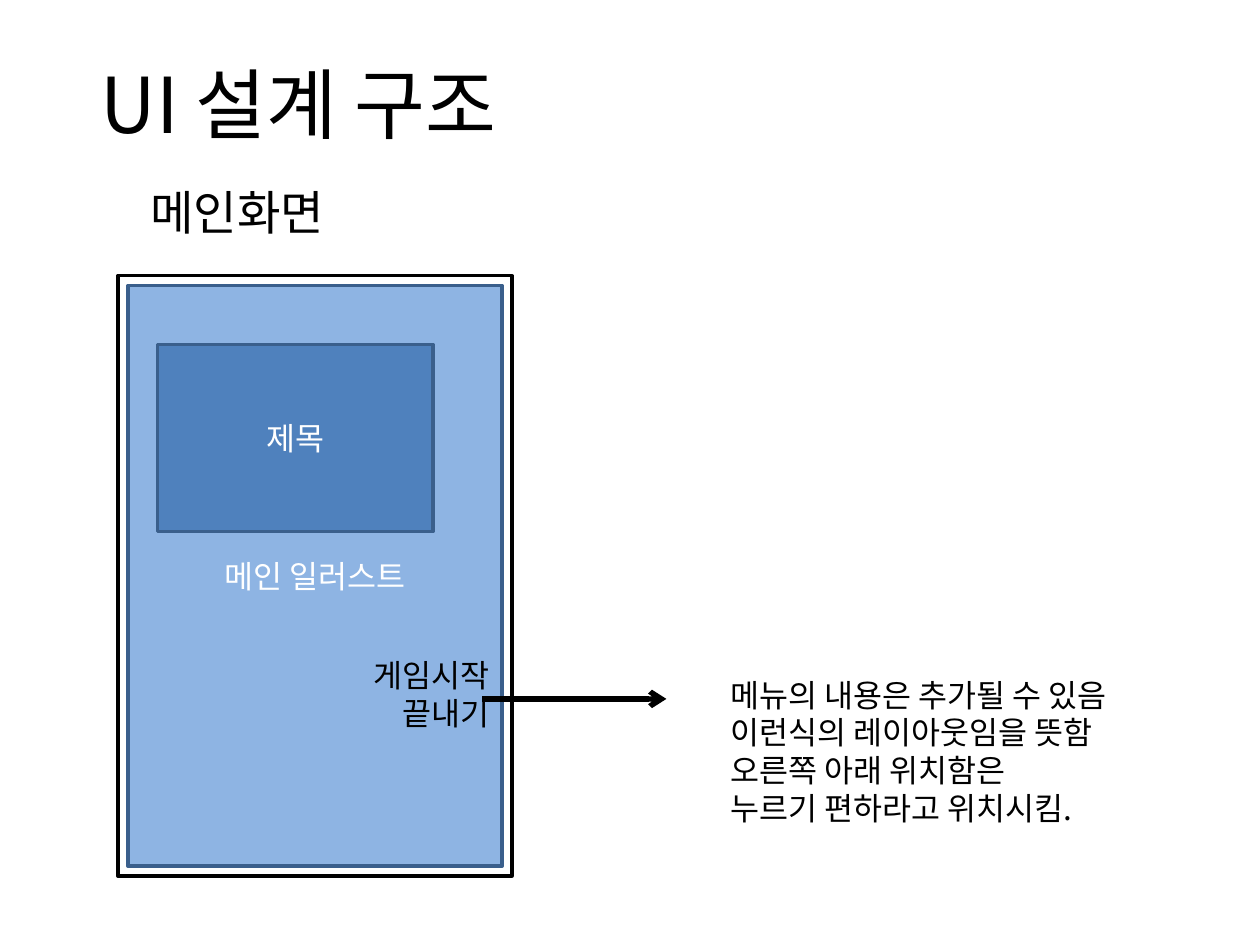
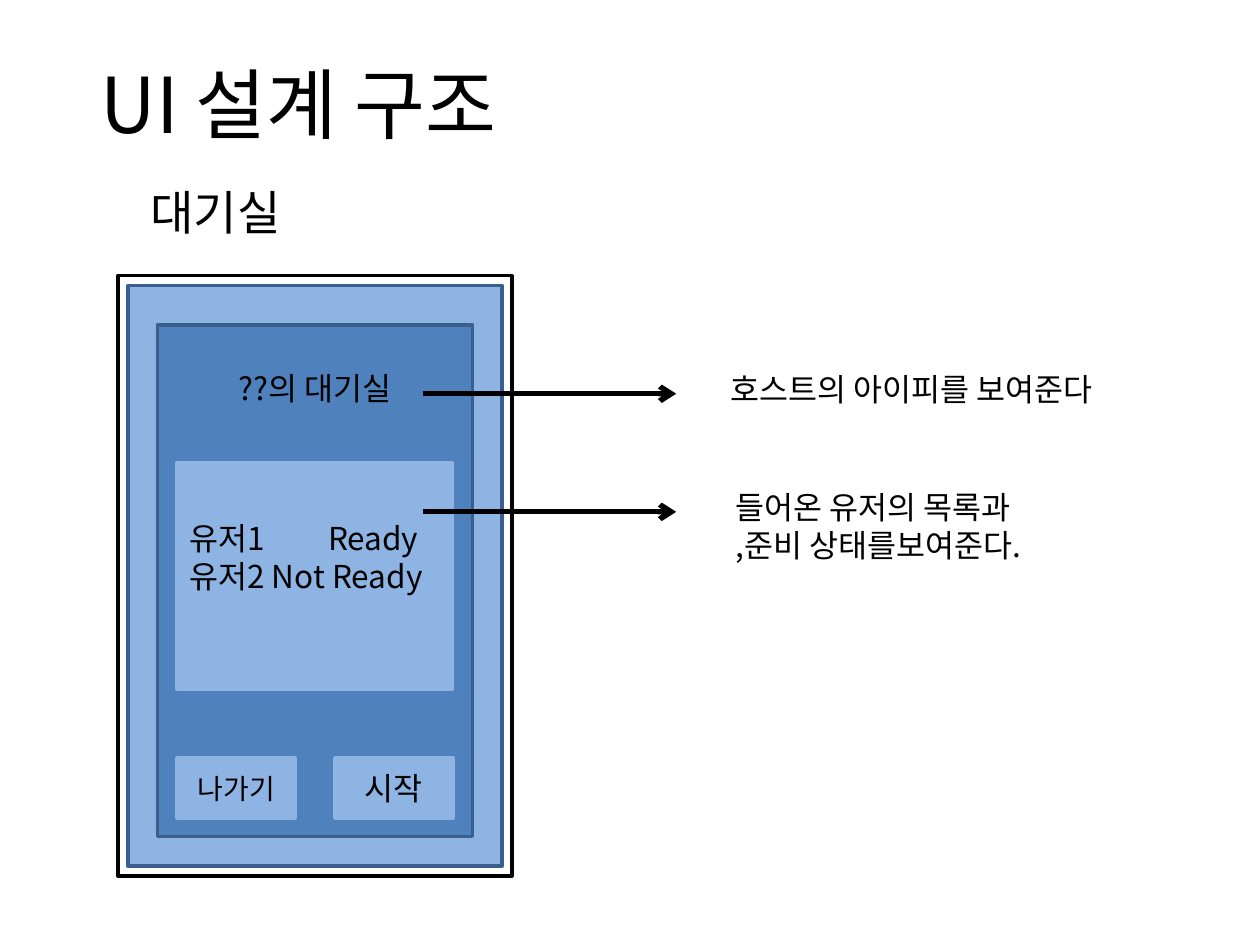
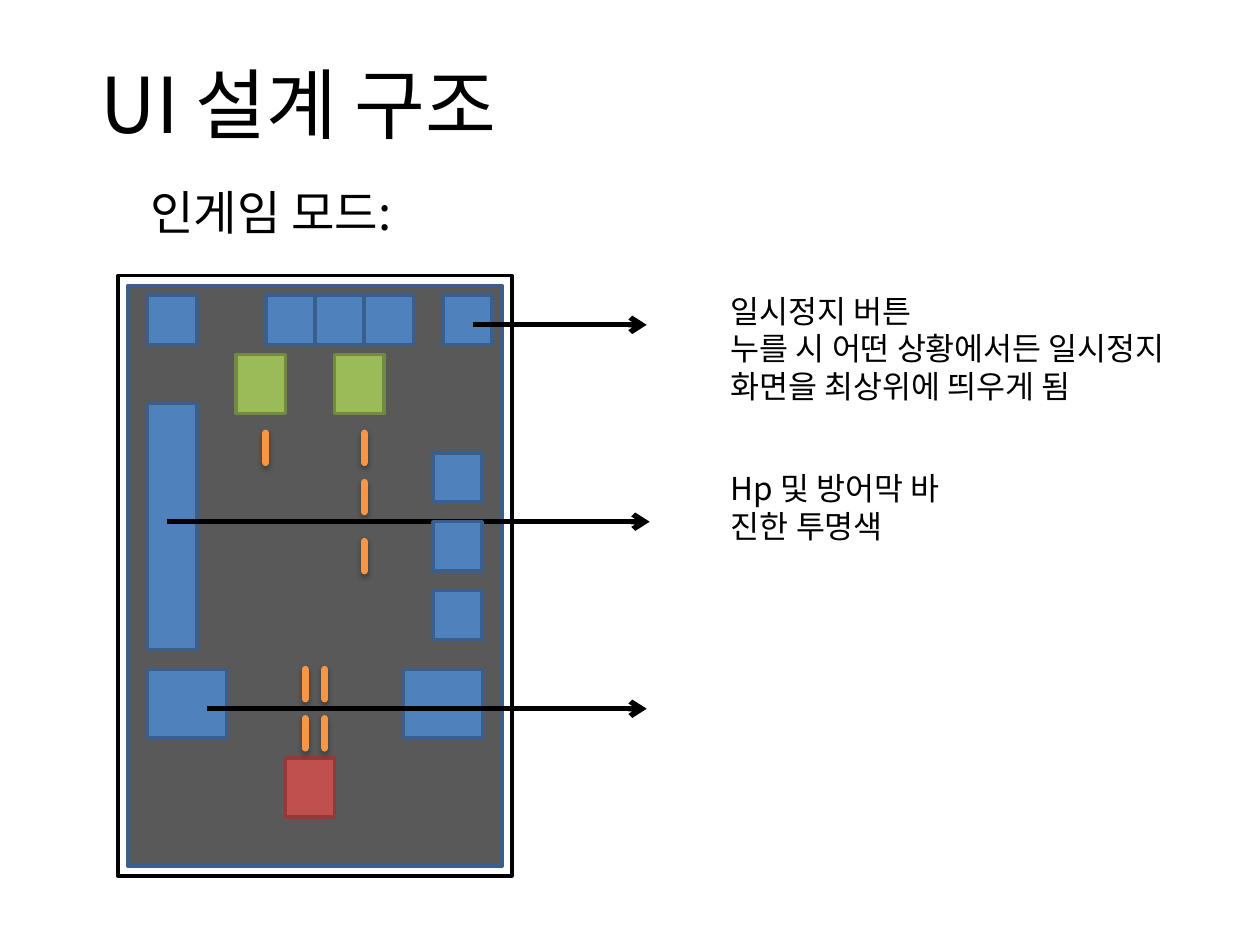
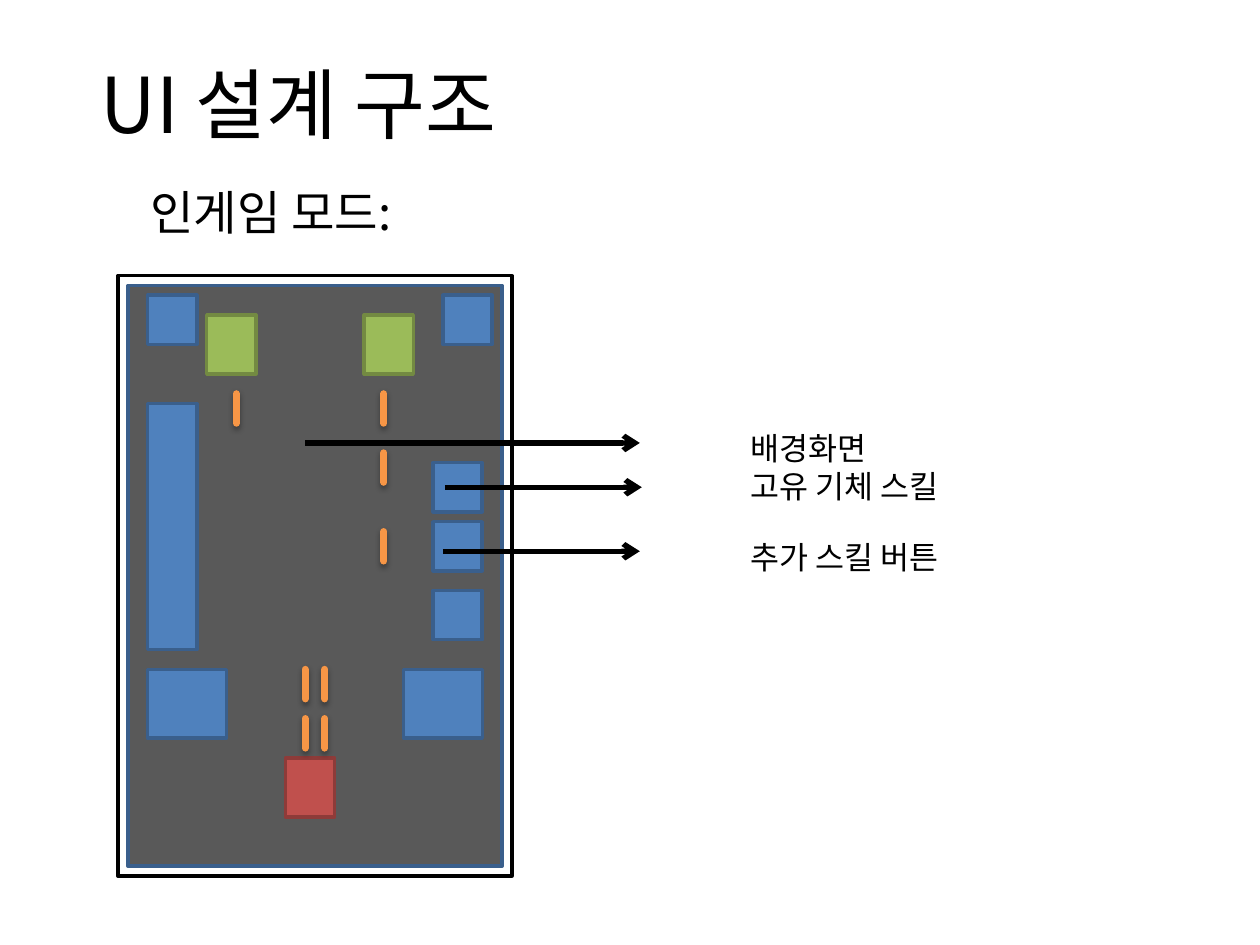
from lxml.etree import SubElement
from pptx import Presentation
from pptx.dml.color import RGBColor
from pptx.enum.shapes import MSO_CONNECTOR, MSO_SHAPE
from pptx.enum.text import MSO_ANCHOR, MSO_AUTO_SIZE, PP_ALIGN
from pptx.oxml.ns import qn
from pptx.util import Inches, Pt

SLIDE_WIDTH, SLIDE_HEIGHT = 10, 7.5
COLUMNS = 128
CELL = SLIDE_WIDTH / COLUMNS
FONT = "Noto Sans CJK KR"
NOTE_COLUMN = 73

BLACK = RGBColor(0x00, 0x00, 0x00)
WHITE = RGBColor(0xFF, 0xFF, 0xFF)
LIGHT_BLUE = RGBColor(0x8E, 0xB4, 0xE3)
BLUE = RGBColor(0x4F, 0x81, 0xBD)
DARK_BLUE = RGBColor(0x3A, 0x5F, 0x8C)
GRAY = RGBColor(0x59, 0x59, 0x59)
RED = RGBColor(0xC0, 0x50, 0x4D)
DARK_RED = RGBColor(0x8E, 0x3B, 0x39)
GREEN = RGBColor(0x9B, 0xBB, 0x59)
DARK_GREEN = RGBColor(0x73, 0x8A, 0x42)
ORANGE = RGBColor(0xF7, 0x96, 0x46)


def cells(count):
    return Inches(count * CELL)


def write(frame, text, size=18, color=BLACK, align=PP_ALIGN.LEFT, anchor=MSO_ANCHOR.TOP, wrap=True):
    frame.word_wrap = wrap
    frame.vertical_anchor = anchor
    for index, line in enumerate(text.split("\n")):
        para = frame.paragraphs[0] if index == 0 else frame.add_paragraph()
        para.alignment = align
        span = para.add_run()
        span.text = line
        span.font.size = Pt(size)
        span.font.color.rgb = color
        span.font.name = FONT
        SubElement(span.font._element, qn("a:ea"), typeface=FONT)


def add_text(page, text, left, top, width, size=18, **style):
    lines = text.count("\n") + 1
    height = Inches(0.1 + lines * size * 0.017)
    box = page.shapes.add_textbox(cells(left), cells(top), cells(width), height)
    write(box.text_frame, text, size, **style)
    box.text_frame.auto_size = MSO_AUTO_SIZE.SHAPE_TO_FIT_TEXT
    return box


def add_note(page, text, top, width, left=NOTE_COLUMN, wrap=False):
    add_text(page, text, left, top, width, wrap=wrap)


def add_panel(page, left, top, width, height, fill=BLUE, edge=DARK_BLUE, text="", **style):
    panel = page.shapes.add_shape(
        MSO_SHAPE.RECTANGLE, cells(left), cells(top), cells(width), cells(height))
    panel.shadow.inherit = False
    panel.fill.solid()
    panel.fill.fore_color.rgb = fill
    panel.line.color.rgb = edge
    panel.line.width = Pt(2)
    if text:
        style = {"align": PP_ALIGN.CENTER, "anchor": MSO_ANCHOR.MIDDLE, **style}
        write(panel.text_frame, text, **style)
    return panel


def add_line(page, start, end, color, width):
    line = page.shapes.add_connector(MSO_CONNECTOR.STRAIGHT, *map(cells, start + end))
    line.line.color.rgb = color
    line.line.width = Pt(width)
    effects = SubElement(line._element.spPr, qn("a:effectLst"))
    return line, effects


def add_arrow(page, left, top, right):
    arrow, _ = add_line(page, (left, top), (right, top), BLACK, 3)
    SubElement(arrow.line._get_or_add_ln(), qn("a:tailEnd"), type="arrow")


def add_bullet(page, left, top):
    bullet, effects = add_line(page, (left, top), (left, top + 3), ORANGE, 4)
    bullet.line._get_or_add_ln().set("cap", "rnd")
    shadow = SubElement(effects, qn("a:outerShdw"), blurRad="40000", dist="23000",
                        dir="5400000", rotWithShape="0")
    shade = SubElement(shadow, qn("a:srgbClr"), val=str(BLACK))
    SubElement(shade, qn("a:alpha"), val="35000")


def add_screen(deck, subtitle, subtitle_width, fill=LIGHT_BLUE, **content):
    page = deck.slides.add_slide(deck.slide_layouts[6])
    title = page.shapes.add_textbox(Inches(0.7), Inches(0.3), Inches(8.8), Inches(1.03))
    write(title.text_frame, "UI 설계 구조", size=44, anchor=MSO_ANCHOR.MIDDLE)
    add_panel(page, 12, 28, 40, 61, WHITE, BLACK)
    add_panel(page, 13, 29, 38, 59, fill, **content)
    add_text(page, subtitle, 14, 18, subtitle_width, size=27, wrap=False)
    return page


def add_game_screen(deck, arrows, enemies, bullets, skill_rows, slots=(), arrows_on_top=False):
    page = add_screen(deck, "인게임 모드:", 29.6, GRAY)
    for left in (15, *slots, 45):
        add_panel(page, left, 30, 5, 5)
    for left in (15, 41):
        add_panel(page, left, 68, 8, 7)
    add_panel(page, 15, 41, 5, 25)
    if not arrows_on_top:
        add_arrows(page, arrows)
    add_panel(page, 29, 77, 5, 6, RED, DARK_RED)
    for left, top in enemies:
        add_panel(page, left, top, 5, 6, GREEN, DARK_GREEN)
    player_bullets = [(left, top) for left in (31, 33) for top in (68, 73)]
    for left, top in bullets + player_bullets:
        add_bullet(page, left, top)
    for top in skill_rows:
        add_panel(page, 44, top, 5, 5)
    if arrows_on_top:
        add_arrows(page, arrows)
    return page


def add_arrows(page, arrows):
    for left, top, right in arrows:
        add_arrow(page, left, top, right)


def build_main_screen(deck):
    page = add_screen(deck, "메인화면", 22, text="메인 일러스트", color=WHITE)
    add_text(page, "게임시작\n끝내기", 35, 66, 16, align=PP_ALIGN.RIGHT)
    add_panel(page, 16, 35, 28, 19, text="제목", color=WHITE)
    add_note(page, "메뉴의 내용은 추가될 수 있음\n이런식의 레이아웃임을 뜻함\n"
                   "오른쪽 아래 위치함은\n누르기 편하라고 위치시킴.", 68, 46)
    add_arrow(page, 49, 71, 67.7)


def build_waiting_room(deck):
    page = add_screen(deck, "대기실", 17.2)
    add_panel(page, 16, 33, 32, 52)
    users = add_panel(page, 18, 47, 28, 23, LIGHT_BLUE, LIGHT_BLUE,
                      "유저1\tReady\n유저2 Not Ready", align=PP_ALIGN.LEFT)
    users.text_frame.margin_bottom = Inches(0.35)
    first = users.text_frame.paragraphs[0]._p.get_or_add_pPr()
    stops = SubElement(first, qn("a:tabLst"))
    SubElement(stops, qn("a:tab"), pos=str(Inches(1.1)), algn="l")
    for left, label, size in ((34, "시작", 18), (18, "나가기", 16)):
        add_panel(page, left, 77, 12, 6.1, LIGHT_BLUE, LIGHT_BLUE, label, size=size)
    add_text(page, "??의 대기실", 23, 36.9, 20)
    add_arrows(page, [(43, top, 68.7) for top in (40, 52)])
    add_note(page, "호스트의 아이피를 보여준다", 37, 43.6)
    add_note(page, "들어온 유저의 목록과\n,준비 상태를보여준다.", 49, 34.3, left=73.5)


def build_game_controls(deck):
    page = add_game_screen(
        deck,
        arrows=[(21, 72, 65.7), (48, 33, 65.7), (17, 53, 66)],
        enemies=[(24, 36), (34, 36)],
        bullets=[(27, 44), (37, 44), (37, 49), (37, 55)],
        skill_rows=(46, 53, 60),
        slots=(27, 32, 37))
    add_note(page, "일시정지 버튼\n누를 시 어떤 상황에서든 일시정지\n화면을 최상위에 띄우게 됨", 29, 52.4)
    add_note(page, "Hp 및 방어막 바\n진한 투명색", 47, 27.5)


def build_game_skills(deck):
    page = add_game_screen(
        deck,
        arrows=[(31, 45, 65), (45, 56, 65), (45.2, 49.5, 65.2)],
        enemies=[(21, 32), (37, 32)],
        bullets=[(24, 40), (39, 40), (39, 46), (39, 54)],
        skill_rows=(47, 53, 60),
        arrows_on_top=True)
    add_note(page, "배경화면\n고유 기체 스킬", 43, 25.3, left=75)
    add_note(page, "추가 스킬 버튼", 54, 42.8, left=75, wrap=True)


def main():
    deck = Presentation()
    deck.slide_width = Inches(SLIDE_WIDTH)
    deck.slide_height = Inches(SLIDE_HEIGHT)
    build_main_screen(deck)
    build_waiting_room(deck)
    build_game_controls(deck)
    build_game_skills(deck)
    deck.save("out.pptx")


if __name__ == "__main__":
    main()
